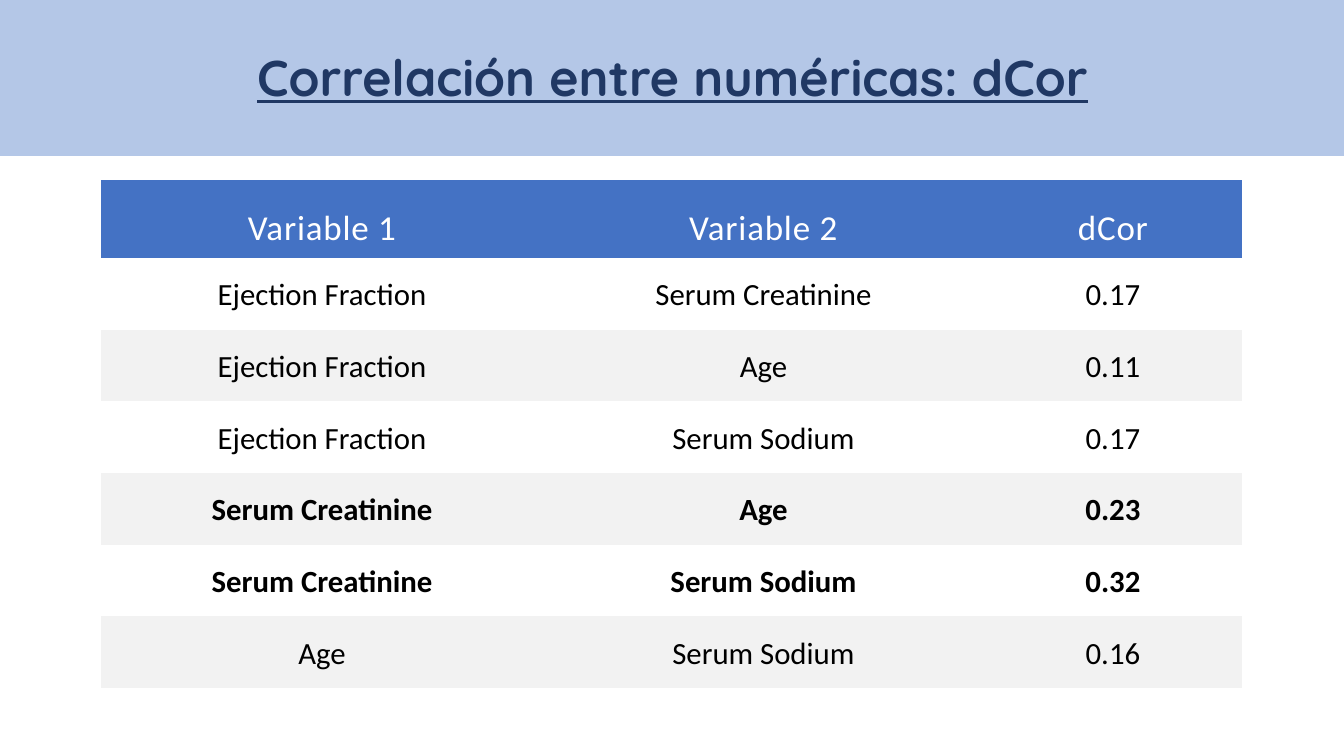
from pptx import Presentation
from pptx.dml.color import RGBColor
from pptx.enum.shapes import MSO_SHAPE
from pptx.enum.text import MSO_ANCHOR, PP_ALIGN
from pptx.oxml.ns import qn
from pptx.util import Pt

SCALE = 914400 / 100.8  # EMU in one px
PLAIN = "{2D5ABB26-0587-4C30-8999-92F81FD0307C}"  # table style without grid

HEAD = ["Variable 1", "Variable 2", "dCor"]
ROWS = [
    ("Ejection Fraction", "Serum Creatinine", "0.17"),
    ("Ejection Fraction", "Age", "0.11"),
    ("Ejection Fraction", "Serum Sodium", "0.17"),
    ("Serum Creatinine", "Age", "0.23"),
    ("Serum Creatinine", "Serum Sodium", "0.32"),
    ("Age", "Serum Sodium", "0.16"),
]
STRONG = 0.2  # values above this are bold


def px(n):
    return round(n * SCALE)


def color(code):
    return RGBColor.from_string(code)


class Deck:
    navy, pale, blue, gray = "203864", "B4C7E7", "4472C4", "F2F2F2"
    font, display = "Calibri", "Quicksand"

    def __init__(self, wide, high):
        self.file = Presentation()
        self.file.slide_width, self.file.slide_height = px(wide), px(high)
        self.slide = self.file.slides.add_slide(self.file.slide_layouts[5])

    def paint(self, item, code):
        item.fill.solid()
        item.fill.fore_color.rgb = color(code)

    def text(self, para, words, size, code, font, bold=False, line=False):
        para.alignment = PP_ALIGN.CENTER
        run = para.add_run()
        run.text = words
        face = run.font
        face.name, face.size, face.color.rgb = font, Pt(size), color(code)
        face.bold, face.underline = bold, line
        return run

    def band(self, x, y, w, h):
        box = self.slide.shapes.add_shape(MSO_SHAPE.RECTANGLE, px(x), px(y), px(w), px(h))
        box.shadow.inherit = False
        self.paint(box, self.pale)
        box.line.fill.background()

    def title(self, words, x, y, w, h):
        box = self.slide.shapes.title
        box.left, box.top, box.width, box.height = px(x), px(y), px(w), px(h)
        box.element.getparent().append(box.element)  # bring to front
        frame = box.text_frame
        frame.word_wrap = True
        frame.vertical_anchor = MSO_ANCHOR.MIDDLE
        para = frame.paragraphs[0]
        para.line_spacing = 0.9
        self.text(para, words, 36, self.navy, self.display, True, True)

    def cell(self, cell, words, fill, size, code, bold=False):
        cell.margin_left = cell.margin_right = px(12)
        cell.margin_top, cell.margin_bottom = px(16), 0
        if fill:
            self.paint(cell, fill)
        else:
            cell.fill.background()
        para = cell.text_frame.paragraphs[0]
        para.line_spacing, para.space_after = 1.07, Pt(8)
        return self.text(para, words, size, code, self.font, bold)

    def table(self, head, rows, x, y, cols, top, high):
        frame = self.slide.shapes.add_table(
            len(rows) + 1, len(cols), px(x), px(y), px(sum(cols)), px(high))
        grid = frame.table
        grid.first_row = grid.horz_banding = False
        for style in frame.element.iter(qn("a:tableStyleId")):
            style.text = PLAIN
        for col, wide in zip(grid.columns, cols):
            col.width = px(wide)
        for row in grid.rows:
            row.height = px((high - top) / len(rows))
        grid.rows[0].height = px(top)

        # Header row, with spaced letters
        for c, words in enumerate(head):
            cell = grid.cell(0, c)
            cell.vertical_anchor = MSO_ANCHOR.MIDDLE
            run = self.cell(cell, words, self.blue, 25, "FFFFFF")
            run.font._element.set("spc", "60")

        # Body rows, every second one shaded
        for r, row in enumerate(rows, 1):
            fill = None if r % 2 else self.gray
            bold = float(row[-1]) > STRONG
            for c, words in enumerate(row):
                self.cell(grid.cell(r, c), words, fill, 22, "000000", bold)


def main():
    deck = Deck(1344, 756)
    # Correlation table
    deck.table(HEAD, ROWS, 101, 180, [442, 441, 258], 78, 508)
    # Heading on its band
    deck.band(0, -3, 1344, 159)
    deck.title("Correlación entre numéricas: dCor", 93, 7, 1159, 146)
    deck.file.save("out.pptx")


if __name__ == "__main__":
    main()
